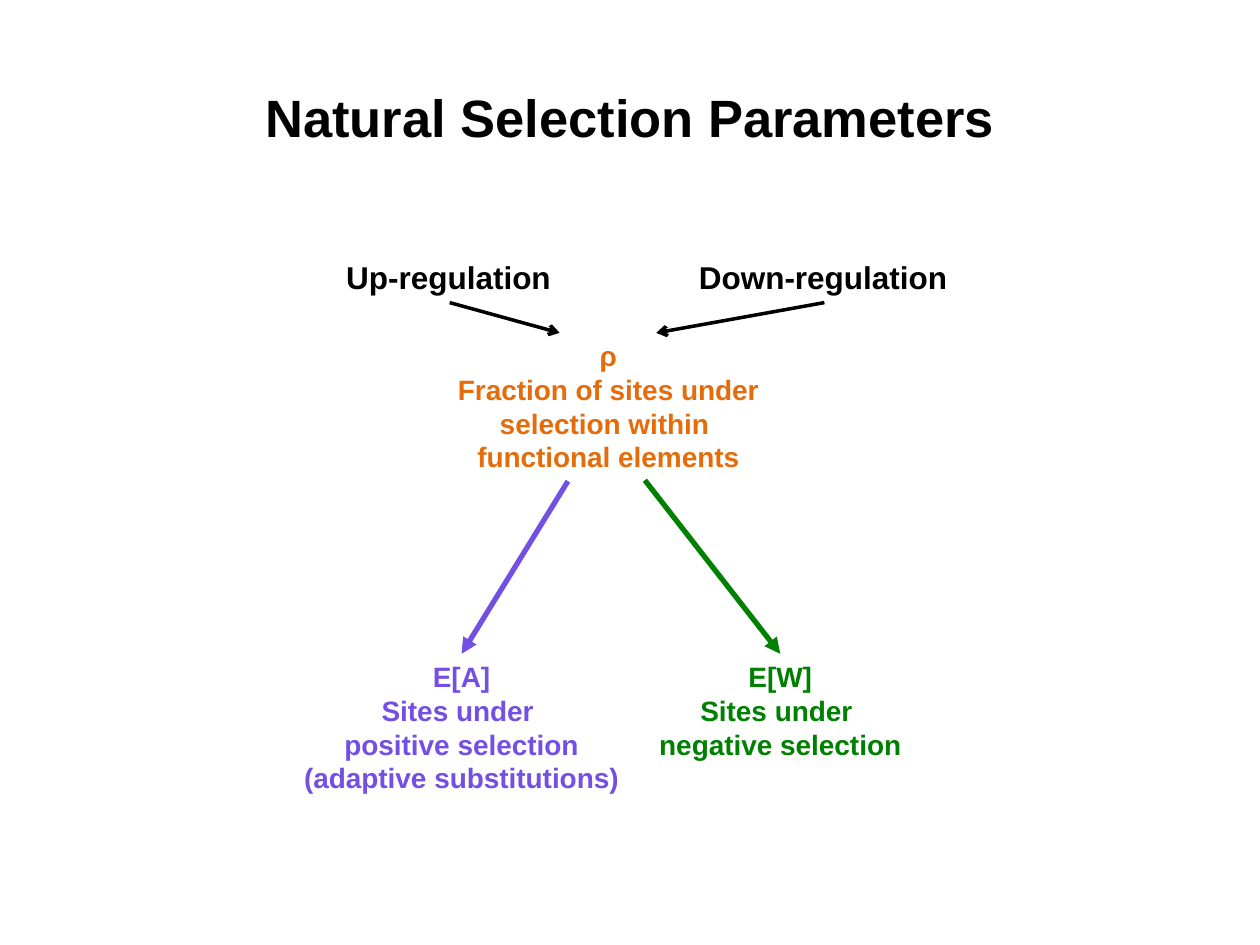
from lxml.etree import SubElement
from pptx import Presentation
from pptx.dml.color import RGBColor
from pptx.enum.shapes import MSO_CONNECTOR
from pptx.enum.text import MSO_ANCHOR, MSO_AUTO_SIZE, PP_ALIGN
from pptx.oxml.ns import qn
from pptx.util import Cm, Pt

BLACK, ORANGE, PURPLE, GREEN = "000000", "E46C0A", "7350E3", "008000"
TOP, BOTTOM = 0, 2


def color(code):
    return RGBColor.from_string(code)


def style(frame, size, code, align):
    for para in frame.paragraphs:
        para.alignment = align
        for run in para.runs:
            font = run.font
            font.name, font.size, font.bold = "Arial", Pt(size), True
            font.color.rgb = color(code)


def title(slide, box, text):
    shape = slide.shapes.title
    shape.left, shape.top, shape.width, shape.height = map(Cm, box)
    shape.text_frame.text = text
    shape.text_frame.vertical_anchor = MSO_ANCHOR.MIDDLE
    style(shape.text_frame, 30, BLACK, PP_ALIGN.CENTER)


def label(group, box, text, size, code, align=PP_ALIGN.CENTER):
    shape = group.shapes.add_textbox(*map(Cm, box))
    frame = shape.text_frame
    frame.word_wrap = False
    frame.auto_size = MSO_AUTO_SIZE.SHAPE_TO_FIT_TEXT
    frame.text = text
    style(frame, size, code, align)
    return shape


def arrow(group, start, end, code, width, head):
    line = group.shapes.add_connector(
        MSO_CONNECTOR.STRAIGHT, *map(Cm, start + end))
    line.line.color.rgb = color(code)
    line.line.width = Pt(width)
    SubElement(line.line._get_or_add_ln(), qn("a:tailEnd"), type=head)
    SubElement(line._element.spPr, qn("a:effectLst"))
    return line


def diagram(slide, left, top):
    group = slide.shapes.add_group_shape()
    mid, low = 1.63, 8.1

    def at(x, y):
        return left + x, top + y

    label(group, at(3.1, mid) + (6.65, 3),
          "ρ\nFraction of sites under \nselection within \nfunctional elements",
          16, ORANGE)

    effects = [
        (0, 6.93, 3, (5.61, 4.62), PURPLE,
         "E[A]\nSites under \npositive selection\n(adaptive substitutions)"),
        (7.16, 5.46, 2.31, (7.16, 4.6), GREEN,
         "E[W]\nSites under \nnegative selection"),
    ]
    for x, wide, high, start, code, text in effects:
        shape = label(group, at(x, low) + (wide, high), text, 16, code)
        line = arrow(group, at(*start), at(x + wide / 2, low),
                     code, 3, "triangle")
        line.end_connect(shape, TOP)

    causes = [
        (0.89, 4.67, 5.44, "Up-regulation"),
        (8, 5.56, 7.39, "Down-regulation"),
    ]
    high = 1.02
    for x, wide, tip, text in causes:
        shape = label(group, at(x, 0) + (wide, high), text, 18, BLACK,
                      PP_ALIGN.LEFT)
        line = arrow(group, at(x + wide / 2, high), at(tip, mid),
                     BLACK, 2, "arrow")
        line.begin_connect(shape, BOTTOM)


def main():
    deck = Presentation()
    deck.slide_width, deck.slide_height = Cm(25.4), Cm(19.05)
    slide = deck.slides.add_slide(deck.slide_layouts[5])
    title(slide, (1.27, 0.76, 22.86, 3.18), "Natural Selection Parameters")
    diagram(slide, 5.84, 5.08)
    deck.save("out.pptx")


if __name__ == "__main__":
    main()
